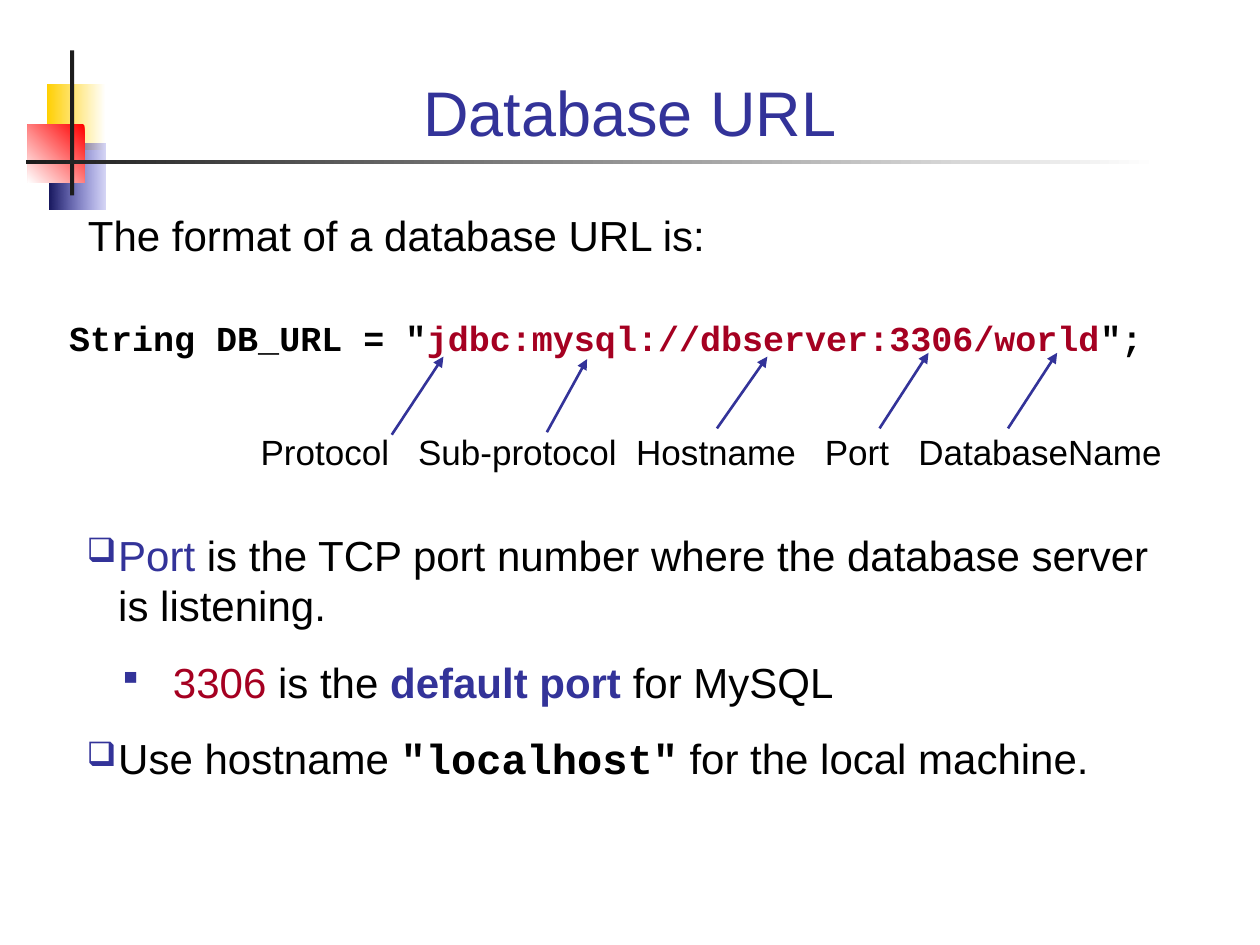
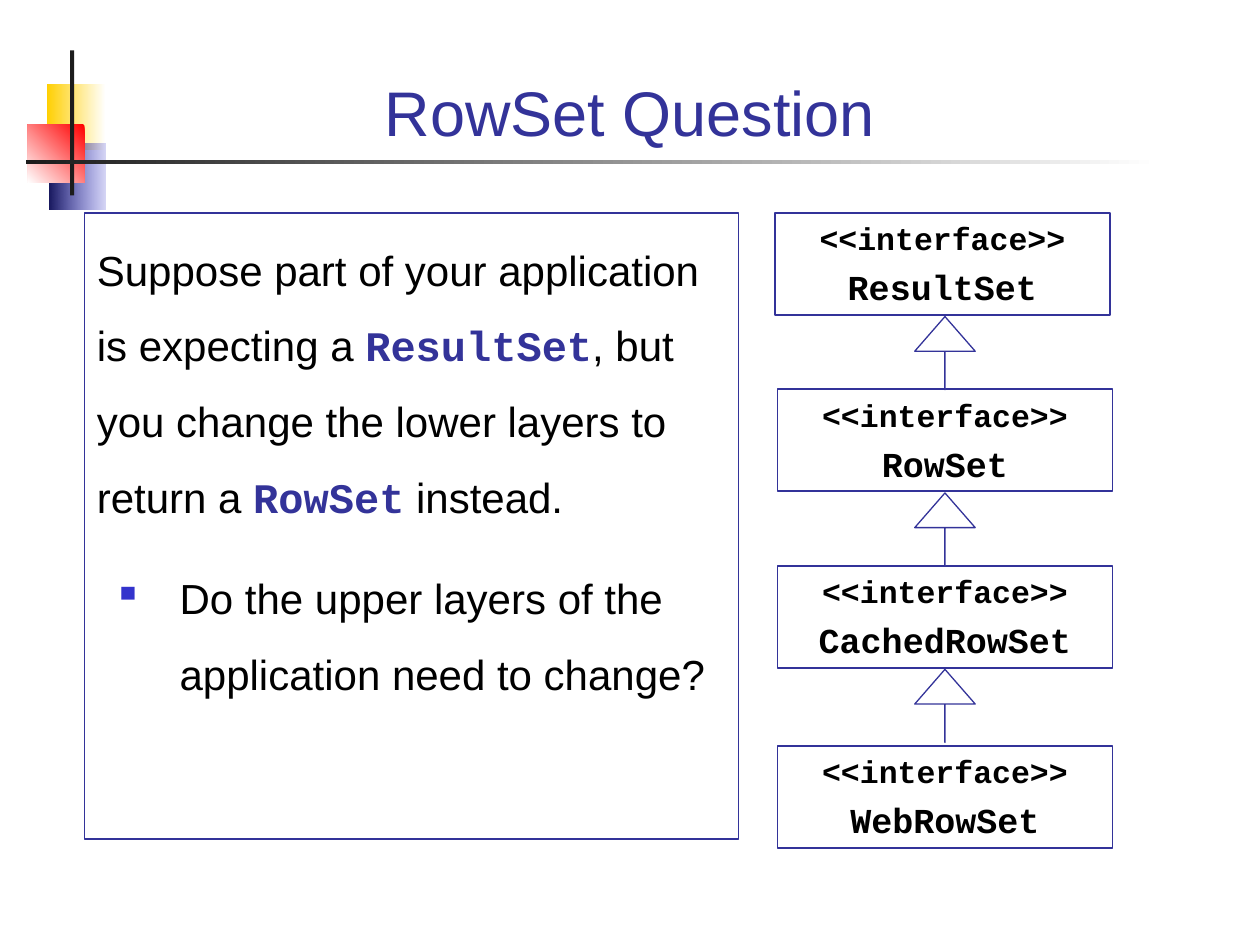
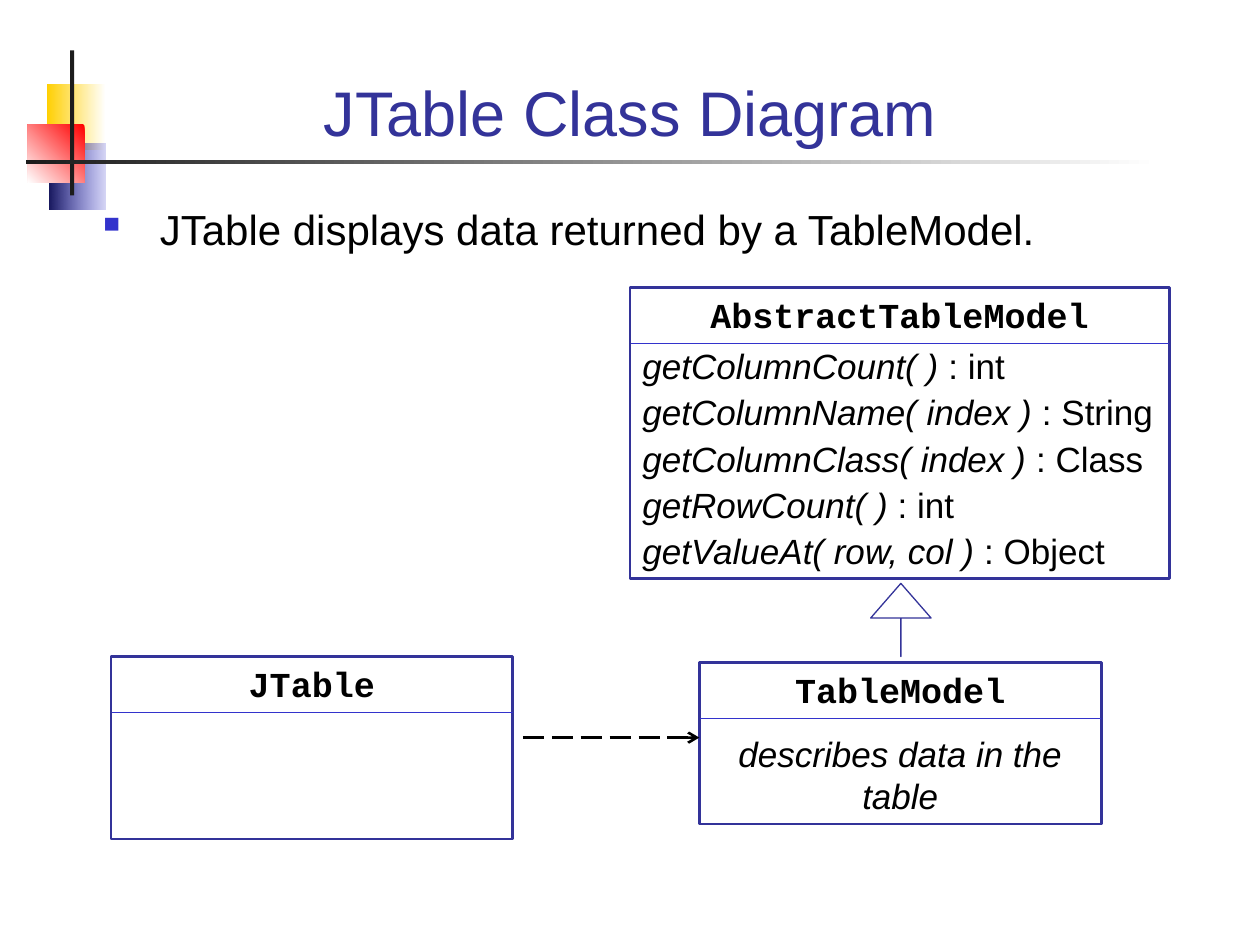
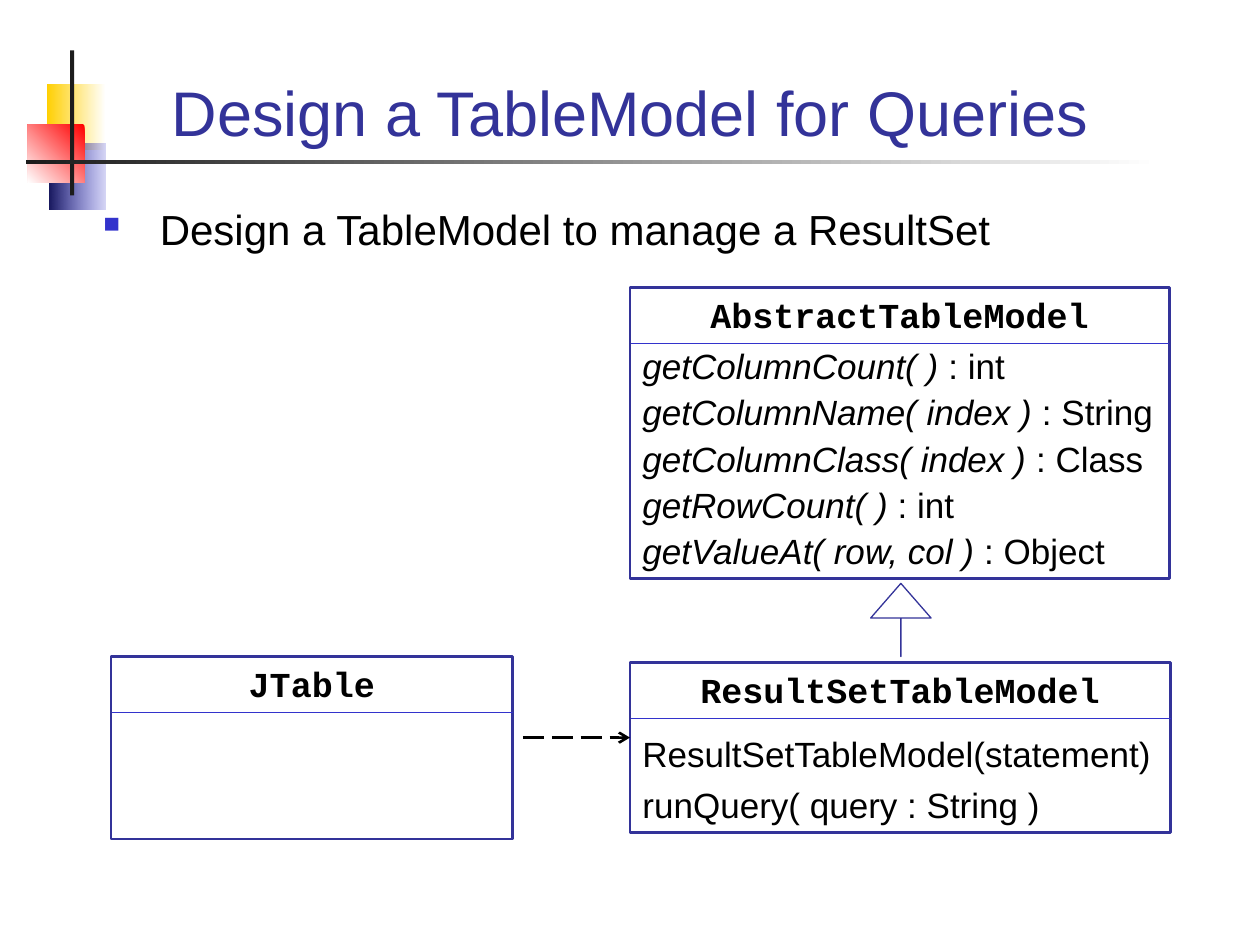
from dataclasses import dataclass
from typing import NamedTuple, Optional

import lxml.etree
import pptx
import pptx.dml.color
import pptx.enum.dml
import pptx.enum.shapes
import pptx.enum.text
import pptx.oxml.ns
import pptx.util

Pt = pptx.util.Pt
qn = pptx.oxml.ns.qn
MSO_SHAPE = pptx.enum.shapes.MSO_SHAPE
LEFT = pptx.enum.text.PP_ALIGN.LEFT
CENTER = pptx.enum.text.PP_ALIGN.CENTER
TOP = pptx.enum.text.MSO_ANCHOR.TOP
BOTTOM = pptx.enum.text.MSO_ANCHOR.BOTTOM

SANS = "Arial"
MONO = "Courier New"
COLORS = {
    "white": "FFFFFF",
    "text": "000000",
    "indigo": "333399",
    "blue": "3333CC",
    "navy": "17175E",
    "crimson": "A50021",
    "yellow": "FFCF01",
    "red": "FF0000",
    "bar": "1C1C1C",
}
DIVIDER_OFFSET = 32


class Frame(NamedTuple):
    x: float
    y: float
    w: float
    h: float


@dataclass
class Run:
    """A stretch of text; None keeps the paragraph's own setting."""
    text: str
    color: Optional[str] = None
    font: Optional[str] = None
    bold: Optional[bool] = None
    italic: Optional[bool] = None


@dataclass
class Bullet:
    char: str
    color: str
    percent: int
    margin: float
    hang: float


@dataclass
class Para:
    runs: list[Run]
    size: float = 24
    font: str = SANS
    color: str = "text"
    bold: bool = False
    italic: bool = False
    align: int = LEFT
    before: float = 0
    spacing: Optional[float] = None
    bullet: Optional[Bullet] = None
    tabs: tuple[float, ...] = ()


@dataclass
class Tile:
    """A gradient square of the corner ornament."""
    frame: Frame
    start: str
    end: str
    angle: float
    start_alpha: Optional[int] = None


@dataclass
class ClassBox:
    frame: Frame
    name: str
    members: list[Para]


ORNAMENT = [
    Tile(Frame(26.64, 48.24, 33.84, 37.44), "white", "yellow", 180),
    Tile(Frame(28.08, 82.08, 32.4, 37.44), "blue", "navy", 180, 20),
    Tile(Frame(15.84, 71.28, 32.4, 33.12), "red", "white", 225),
]
VERTICAL_BAR = Frame(40.1, 28.8, 2.3, 82.8)
UNDERLINE = Tile(Frame(15.12, 91.3, 647.3, 2.3), "white", "bar", 180)
TITLE = Frame(48.24, 20.16, 623.52, 68.4)
LEAD = Frame(48.24, 113.04, 623.52, 41.04)

CHECKBOX = Bullet("❑", "indigo", 80, 18, 18)
SUB_SQUARE = Bullet("▪", "indigo", 80, 49.3, 31.3)
QUESTION_SQUARE = Bullet("▪", "blue", 95, 47.3, 38)
LEAD_SQUARE = Bullet("▪", "blue", 95, 36, 36)


def rgb(name: str) -> pptx.dml.color.RGBColor:
    return pptx.dml.color.RGBColor.from_string(COLORS[name])


def sub(parent, tag: str, **attrs):
    return lxml.etree.SubElement(parent, qn(tag), attrs)


def set_bullet(p, b: Bullet) -> None:
    pPr = p._p.get_or_add_pPr()
    pPr.set("marL", str(Pt(b.margin)))
    pPr.set("indent", str(-Pt(b.hang)))
    sub(sub(pPr, "a:buClr"), "a:srgbClr", val=COLORS[b.color])
    sub(pPr, "a:buSzPct", val=str(b.percent * 1000))
    sub(pPr, "a:buChar", char=b.char)


def set_tabs(p, stops: tuple[float, ...]) -> None:
    tab_list = sub(p._p.get_or_add_pPr(), "a:tabLst")
    for stop in stops:
        sub(tab_list, "a:tab", pos=str(Pt(stop)), algn="l")


def write(tf, paras: list[Para], anchor=TOP) -> None:
    tf.word_wrap = True
    tf.vertical_anchor = anchor
    for i, para in enumerate(paras):
        p = tf.add_paragraph() if i else tf.paragraphs[0]
        if para.bullet:
            set_bullet(p, para.bullet)
        if para.tabs:
            set_tabs(p, para.tabs)
        p.alignment = para.align
        p.space_before = Pt(para.before)
        if para.spacing:
            p.line_spacing = para.spacing
        p.font.size = Pt(para.size)
        p.font.name = para.font
        p.font.bold = para.bold
        p.font.italic = para.italic
        p.font.color.rgb = rgb(para.color)
        for run in para.runs:
            r = p.add_run()
            r.text = run.text
            if run.color:
                r.font.color.rgb = rgb(run.color)
            if run.font:
                r.font.name = run.font
            if run.bold is not None:
                r.font.bold = run.bold
            if run.italic is not None:
                r.font.italic = run.italic


def add_text(s, frame: Frame, paras: list[Para], anchor=TOP) -> None:
    sp = s.shapes.add_textbox(*map(Pt, frame))
    write(sp.text_frame, paras, anchor)


def add_shape(s, kind, frame: Frame, fill: Optional[str] = None,
              line: Optional[str] = None, width: float = 0.75):
    sp = s.shapes.add_shape(kind, *map(Pt, frame))
    sp.shadow.inherit = False
    if fill:
        sp.fill.solid()
        sp.fill.fore_color.rgb = rgb(fill)
    else:
        sp.fill.background()
    if line:
        sp.line.color.rgb = rgb(line)
        sp.line.width = Pt(width)
    else:
        sp.line.fill.background()
    return sp


def add_tile(s, tile: Tile) -> None:
    sp = add_shape(s, MSO_SHAPE.RECTANGLE, tile.frame)
    sp.fill.gradient()
    sp.fill.gradient_angle = tile.angle
    start, end = sp.fill.gradient_stops
    start.position, end.position = 0, 1
    start.color.rgb = rgb(tile.start)
    end.color.rgb = rgb(tile.end)
    if tile.start_alpha is not None:
        color = sp._element.spPr.find(".//" + qn("a:srgbClr"))
        sub(color, "a:alpha", val=str(tile.start_alpha * 1000))


def add_line(s, x1: float, y1: float, x2: float, y2: float, color: str,
             width: float, head: Optional[str] = None, dashed: bool = False) -> None:
    straight = pptx.enum.shapes.MSO_CONNECTOR.STRAIGHT
    cn = s.shapes.add_connector(straight, Pt(x1), Pt(y1), Pt(x2), Pt(y2))
    cn.line.color.rgb = rgb(color)
    cn.line.width = Pt(width)
    if dashed:
        cn.line.dash_style = pptx.enum.dml.MSO_LINE.LONG_DASH
    if head:
        sub(cn.line._get_or_add_ln(), "a:tailEnd", type=head)
    sub(cn._element.spPr, "a:effectLst")


def add_inheritance_arrow(s, x: float, y: float) -> None:
    """Hollow upward triangle on a thin stem."""
    frame = Frame(x, y, 41.76, 34.56)
    sp = add_shape(s, MSO_SHAPE.RIGHT_ARROW, frame, "white", "indigo")
    sp.adjustments[0] = 0.004
    sp.adjustments[1] = 0.573
    sp.rotation = 270


def add_class_box(s, box: ClassBox) -> None:
    sp = add_shape(s, MSO_SHAPE.RECTANGLE, box.frame, line="indigo", width=1.5)
    name = Para([Run(box.name)], 20, MONO, bold=True, align=CENTER)
    write(sp.text_frame, [name, *box.members])
    x, y, w, _ = box.frame
    y += DIVIDER_OFFSET
    add_line(s, x + 0.7, y, x + w, y, "blue", 0.75)


def new_slide(prs, title: str):
    s = prs.slides.add_slide(prs.slide_layouts[6])
    for tile in ORNAMENT:
        add_tile(s, tile)
    add_shape(s, MSO_SHAPE.RECTANGLE, VERTICAL_BAR, "bar")
    add_tile(s, UNDERLINE)
    heading = Para([Run(title)], 36, color="indigo", align=CENTER)
    add_text(s, TITLE, [heading], BOTTOM)
    return s


def database_url_slide(prs) -> None:
    s = new_slide(prs, "Database URL")
    add_text(s, Frame(32.4, 177.12, 637.92, 31.68), [Para([
        Run('String DB_URL = "'),
        Run("jdbc:mysql://dbserver:3306/world", "crimson"),
        Run('";'),
    ], 20, MONO, bold=True)])
    add_text(s, Frame(43.2, 115.92, 630.72, 36),
             [Para([Run("The format of a database URL is:")])])

    parts = ["Protocol", "Sub-protocol", "Hostname", "Port", "DatabaseName"]
    add_text(s, Frame(141.84, 242.64, 536, 31.68), [
        Para([Run("\t".join(parts))], 20, tabs=(90, 214.6, 322.4, 375.8))])
    pointers = [
        (223.9, 248.4, 253.4, 203.8),
        (312.5, 247, 335.5, 205.2),
        (409.7, 244.8, 438.5, 203.8),
        (502.6, 244.8, 530.6, 201.6),
        (576, 244.8, 604.1, 201.6),
    ]
    for ends in pointers:
        add_line(s, *ends, "indigo", 1.5, head="triangle")

    add_text(s, Frame(42.48, 298.8, 630.72, 152.64), [
        Para([
            Run("Port", "indigo"),
            Run(" is the TCP port number where the database server is listening."),
        ], bullet=CHECKBOX),
        Para([
            Run("3306", "crimson"),
            Run(" is the "),
            Run("default port", "indigo", bold=True),
            Run(" for MySQL"),
        ], before=15, bullet=SUB_SQUARE),
        Para([
            Run("Use hostname "),
            Run('"localhost"', font=MONO, bold=True),
            Run(" for the local machine."),
        ], before=15, bullet=CHECKBOX),
    ])


def rowset_slide(prs) -> None:
    s = new_slide(prs, "RowSet Question")
    question = add_shape(s, MSO_SHAPE.RECTANGLE,
                         Frame(48.24, 121.68, 373.68, 357.84), line="indigo")
    write(question.text_frame, [
        Para([
            Run("Suppose part of your application is expecting a "),
            Run("ResultSet", "indigo", MONO, True),
            Run(", but you change the lower layers to return a "),
            Run("RowSet", "indigo", MONO, True),
            Run(" instead."),
        ], spacing=1.5),
        Para([Run("Do the upper layers of the application need to change?")],
             before=15, spacing=1.5, bullet=QUESTION_SQUARE),
    ])

    interfaces = [
        ("ResultSet", 442.8, 121.68),
        ("RowSet", 444.24, 222.48),
        ("CachedRowSet", 444.24, 323.28),
        ("WebRowSet", 444.24, 426.24),
    ]
    for name, x, y in interfaces:
        sp = add_shape(s, MSO_SHAPE.RECTANGLE, Frame(x, y, 191.52, 58.32),
                       line="indigo", width=1)
        write(sp.text_frame, [
            Para([Run("<<interface>>")], 18, MONO, bold=True, align=CENTER),
            Para([Run(name)], 20, MONO, bold=True, align=CENTER, before=5),
        ])
    for _, _, y in interfaces[:-1]:
        add_inheritance_arrow(s, 519.12, y + 62.8)


def method(signature: str, result: str, before: float = 2.5) -> Para:
    return Para([Run(signature + " ", italic=True), Run(": " + result)],
                20, before=before)


ABSTRACT_MODEL = ClassBox(Frame(360, 164.16, 308.16, 166.32), "AbstractTableModel", [
    method("getColumnCount( )", "int", 5),
    method("getColumnName( index )", "String"),
    method("getColumnClass( index )", "Class"),
    method("getRowCount( )", "int"),
    method("getValueAt( row, col )", "Object"),
])
JTABLE = ClassBox(Frame(63.36, 375.12, 229.68, 104.4), "JTable", [])
TABLE_MODEL = ClassBox(Frame(399.6, 378.72, 229.68, 92.16), "TableModel", [
    Para([Run("describes data in the table")], 20, italic=True,
         align=CENTER, before=12.5),
])
RESULT_SET_MODEL = ClassBox(Frame(360, 378.72, 308.88, 97.2), "ResultSetTableModel", [
    Para([Run("ResultSetTableModel(statement)")], 20, before=12.5),
    Para([Run("runQuery( query : String )")], 20, before=5),
])


def class_diagram_slide(prs, title: str, lead: str, model: ClassBox) -> None:
    s = new_slide(prs, title)
    add_text(s, LEAD, [Para([Run(lead)], bullet=LEAD_SQUARE)])
    for box in (JTABLE, model, ABSTRACT_MODEL):
        add_class_box(s, box)
    add_line(s, 298.8, 421.5, model.frame.x, 421.5, "text", 1.5,
             head="arrow", dashed=True)
    add_inheritance_arrow(s, 493.92, 336.96)


def main() -> None:
    prs = pptx.Presentation()
    prs.slide_width, prs.slide_height = Pt(720), Pt(540)
    database_url_slide(prs)
    rowset_slide(prs)
    class_diagram_slide(prs, "JTable Class Diagram",
                        "JTable displays data returned by a TableModel.", TABLE_MODEL)
    class_diagram_slide(prs, "Design a TableModel for Queries",
                        "Design a TableModel to manage a ResultSet", RESULT_SET_MODEL)
    prs.save("out.pptx")


if __name__ == "__main__":
    main()
